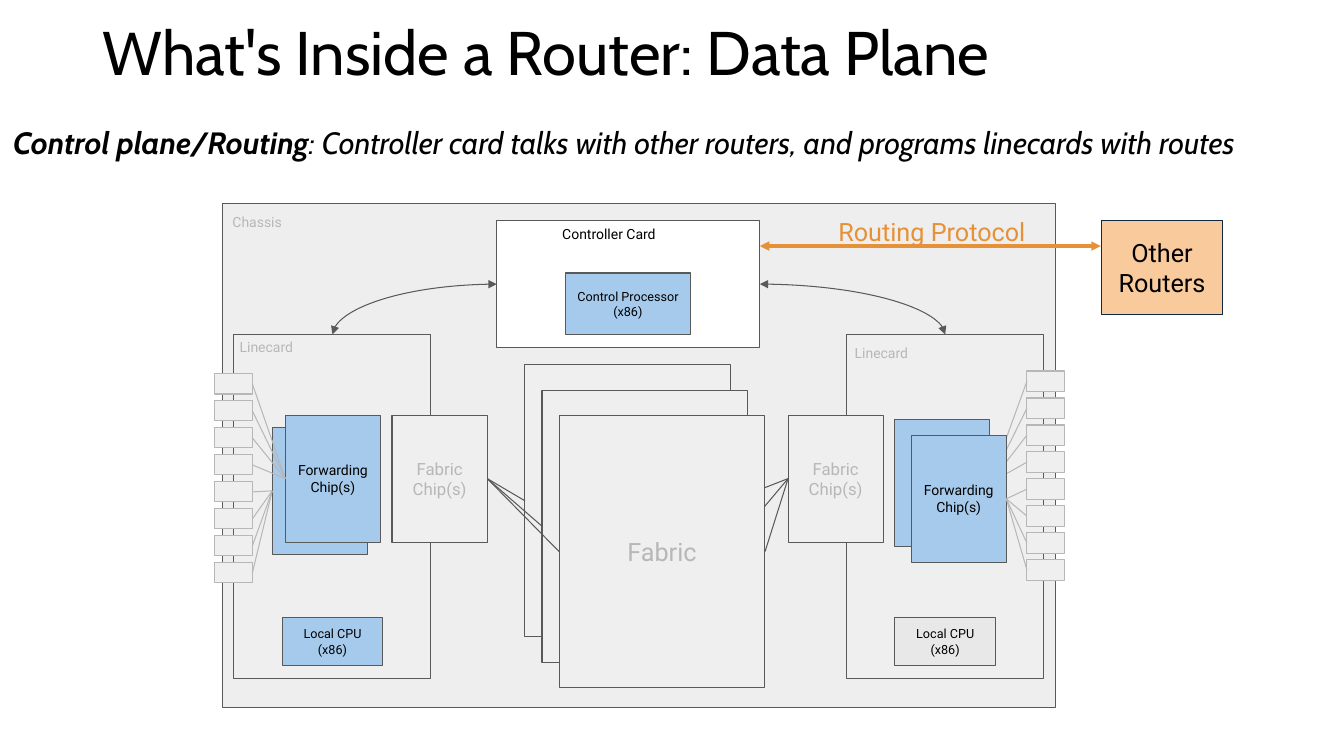
from dataclasses import dataclass

import pptx
import pptx.dml.color
import pptx.enum.shapes
import pptx.enum.text
import pptx.oxml.ns
import pptx.util
from lxml import etree

Cm = pptx.util.Cm
Pt = pptx.util.Pt
qn = pptx.oxml.ns.qn
Kind = pptx.enum.shapes.MSO_CONNECTOR
Align = pptx.enum.text.PP_ALIGN
Anchor = pptx.enum.text.MSO_ANCHOR

GRAY, PALE, BLUE = "595959", "EFEFEF", "A6CAEC"
DIM, BLACK, ORANGE = "B7B7B7", "000000", "E69138"
LEFT, RIGHT = 1, 3
CHIP_W, CHIP_H = 2.4, 3.2
CHIP_Y = 10.46
PORTS, PITCH = 8, 0.68


@dataclass
class Box:
    x: float
    y: float
    w: float
    h: float
    fill: str = PALE
    line: str = GRAY
    text: str = ""
    size: int = 10
    ink: str = BLACK
    pad: float = 0.25


@dataclass
class Label:
    x: float
    y: float
    w: float
    h: float
    text: str
    size: int = 10
    ink: str = DIM
    pad: float = 0.25
    align: Align = Align.LEFT


@dataclass
class Side:
    card: float
    port: float
    top: float
    back: tuple[float, float]
    front: tuple[float, float]
    edge: int
    high: bool
    tag: tuple[float, float]
    cpu: float
    tint: str


SIDES = [
    Side(5.89, 5.41, 9.42, (6.86, 10.77), (7.19, CHIP_Y), LEFT, False,
         (5.79, 8.33), 7.11, BLUE),
    Side(21.34, 25.88, 9.35, (22.55, 10.57), (22.96, 10.97), RIGHT, True,
         (21.29, 8.46), 22.55, "E8E8E8"),
]

deck = pptx.Presentation()
deck.slide_width, deck.slide_height = Cm(33.87), Cm(19.05)
slide = deck.slides.add_slide(deck.slide_layouts[6])
shapes = slide.shapes


def paint(form, color: str) -> None:
    form.rgb = pptx.dml.color.RGBColor.from_string(color)


def style(font, size: int, ink: str, face: str = "Roboto") -> None:
    font.name, font.size = face, Pt(size)
    paint(font.color, ink)


def inset(frame, pad: float) -> None:
    frame.word_wrap = True
    frame.margin_left = frame.margin_right = Cm(pad)
    frame.margin_top = frame.margin_bottom = Cm(pad)


def draw(box: Box):
    shape = shapes.add_shape(pptx.enum.shapes.MSO_SHAPE.RECTANGLE,
                             Cm(box.x), Cm(box.y), Cm(box.w), Cm(box.h))
    shape.shadow.inherit = False
    shape.fill.solid()
    paint(shape.fill.fore_color, box.fill)
    paint(shape.line.color, box.line)
    shape.line.width = Pt(0.75)
    if box.text:
        frame = shape.text_frame
        inset(frame, box.pad)
        frame.vertical_anchor = Anchor.MIDDLE
        para = frame.paragraphs[0]
        para.text, para.alignment = box.text, Align.CENTER
        style(para.font, box.size, box.ink)
    return shape


def write(label: Label):
    frame = shapes.add_textbox(Cm(label.x), Cm(label.y), Cm(label.w),
                               Cm(label.h)).text_frame
    inset(frame, label.pad)
    para = frame.paragraphs[0]
    para.text, para.alignment = label.text, label.align
    style(para.font, label.size, label.ink)


def join(kind, start: tuple[float, float], end: tuple[float, float],
         color: str, width: float = 0.75, heads: bool = False):
    link = shapes.add_connector(kind, *map(Cm, start + end))
    paint(link.line.color, color)
    link.line.width = Pt(width)
    props = link._element.spPr
    if heads:
        line = props.find(qn("a:ln"))
        for end_tag in ("a:headEnd", "a:tailEnd"):
            etree.SubElement(line, qn(end_tag), type="triangle")
    etree.SubElement(props, qn("a:effectLst"))
    return link


def wire(first, out: int, last, into: int, color: str) -> None:
    link = join(Kind.STRAIGHT, (0, 0), (0, 0), color)
    link.begin_connect(first, out)
    link.end_connect(last, into)


def bend(start: tuple[float, float], end: tuple[float, float]) -> None:
    link = join(Kind.CURVE, start, end, GRAY, heads=True)
    link._element.spPr.find(qn("a:prstGeom")).set("prst", "curvedConnector2")


def fill_card(side: Side) -> None:
    draw(Box(side.card, 8.43, 4.95, 8.66))
    ports = [draw(Box(side.port, side.top + PITCH * i, 0.95, 0.51, line=DIM))
             for i in range(PORTS)]
    upper, lower = ports[:PORTS // 2], ports[PORTS // 2:]
    groups = (upper, lower) if side.high else (lower, upper)
    names = ("", "Forwarding Chip(s)")
    for spot, name, group in zip((side.back, side.front), names, groups):
        chip = draw(Box(*spot, CHIP_W, CHIP_H, BLUE, text=name, pad=0))
        for port in group:
            wire(port, LEFT + RIGHT - side.edge, chip, side.edge, DIM)
    write(Label(*side.tag, 2.95, 1.12, "Linecard"))
    draw(Box(side.cpu, 15.57, 2.54, 1.19, side.tint,
             text="Local CPU (x86)", size=9))


def add_head() -> None:
    frame = shapes.add_textbox(Cm(2.34), Cm(0.36), Cm(29.21),
                               Cm(2.06)).text_frame
    frame.word_wrap, frame.vertical_anchor = True, Anchor.MIDDLE
    para = frame.paragraphs[0]
    para.text, para.line_spacing = "What's Inside a Router: Data Plane", 0.9
    style(para.font, 44, BLACK, "Cabin")

    frame = shapes.add_textbox(Cm(-1.19), Cm(3), Cm(35.33),
                               Cm(1.19)).text_frame
    frame.word_wrap, frame.margin_left = True, Cm(1.52)
    para = frame.paragraphs[0]
    style(para.font, 22, BLACK, "Cabin")
    para.font.italic = True
    lead, rest = para.add_run(), para.add_run()
    lead.text, lead.font.bold = "Control plane/Routing", True
    rest.text = (": Controller card talks with other routers, "
                 "and programs linecards with routes")


def add_fabric() -> None:
    near, far = [draw(Box(x, CHIP_Y, CHIP_W, CHIP_H, text="Fabric Chip(s)",
                          size=12, ink=DIM)) for x in (9.88, 19.86)]
    for i, name in enumerate(("", "", "Fabric")):
        layer = draw(Box(13.23 + 0.43 * i, 9.19 + 0.64 * i, 5.19, 6.86,
                         text=name, size=18, ink=DIM))
        wire(near, RIGHT, layer, LEFT, GRAY)
        wire(layer, RIGHT, far, LEFT, GRAY)


def add_control() -> None:
    bend((12.52, 7.16), (8.38, 8.43))
    bend((19.15, 7.16), (23.82, 8.43))
    draw(Box(12.52, 5.56, 6.63, 3.2, "FFFFFF"))
    draw(Box(14.25, 6.88, 3.15, 1.55, BLUE,
             text="Control Processor (x86)", size=9))
    write(Label(13.92, 5.46, 4.37, 1.12, "Controller Card", ink=BLACK))
    draw(Box(27.76, 5.56, 3.05, 2.36, "F9CB9C", "0E2841",
             "Other Routers", 18))
    join(Kind.STRAIGHT, (19.15, 6.2), (27.74, 6.2), ORANGE, 2.25, True)
    write(Label(19.18, 5.46, 8.61, 0.71, "Routing Protocol", 18, ORANGE, 0,
                Align.CENTER))


def main() -> None:
    add_head()
    draw(Box(5.61, 5.13, 20.98, 12.7, "EEEEEE"))
    write(Label(5.61, 5.18, 4.37, 1.12, "Chassis"))
    for side in SIDES:
        fill_card(side)
    add_fabric()
    add_control()
    deck.save("out.pptx")


if __name__ == "__main__":
    main()
